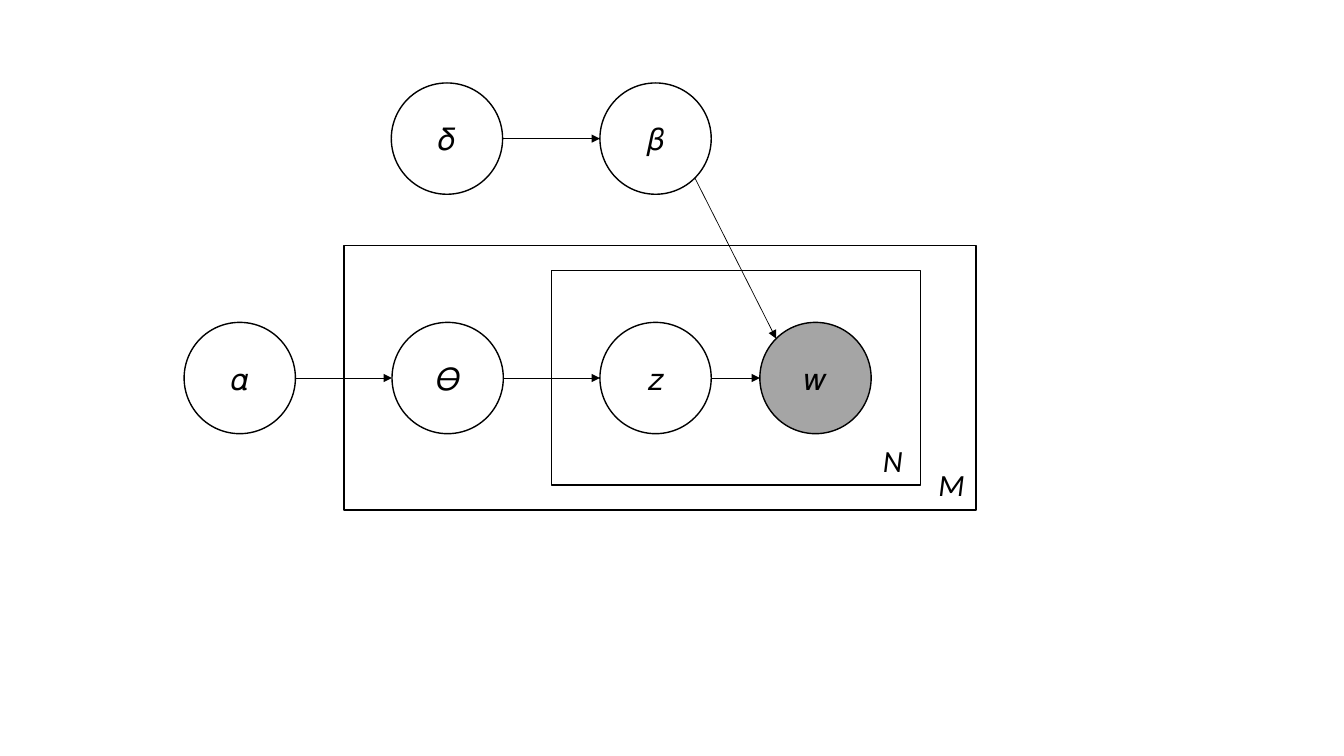
from math import cos, radians, sin

from lxml.etree import SubElement
from pptx import Presentation
from pptx.dml.color import RGBColor
from pptx.enum.shapes import MSO_CONNECTOR, MSO_SHAPE
from pptx.enum.text import MSO_ANCHOR, PP_ALIGN
from pptx.oxml.ns import qn
from pptx.util import Pt

WHITE, BLACK, GREY = "FFFFFF", "000000", "A5A5A5"


def color(hex_string):
    return RGBColor.from_string(hex_string)


class Diagram:
    """Plate diagram: the shared style and the current slide."""

    font, size = "Calibri", 22
    radius = 39.75

    def __init__(self, page):
        self.page = page

    def outline(self, kind, left, top, width, height, fill):
        shape = self.page.shapes.add_shape(
            kind, Pt(left), Pt(top), Pt(width), Pt(height))
        shape.shadow.inherit = False
        shape.fill.solid()
        shape.fill.fore_color.rgb = color(fill)
        shape.line.color.rgb = color(BLACK)
        shape.line.width = Pt(1)
        return shape

    def set_text(self, frame, text, align, italic=None):
        frame.text = text
        para = frame.paragraphs[0]
        para.alignment = align
        font = para.runs[0].font
        font.name, font.size, font.italic = self.font, Pt(self.size), italic
        font.color.rgb = color(BLACK)

    def plate(self, left, top, width, height):
        self.outline(MSO_SHAPE.RECTANGLE, left, top, width, height, WHITE)

    def node(self, symbol, center, fill=WHITE):
        x, y = center
        circle = self.outline(MSO_SHAPE.OVAL, x - self.radius, y - self.radius,
                              2 * self.radius, 2 * self.radius, fill)
        frame = circle.text_frame
        frame.vertical_anchor = MSO_ANCHOR.MIDDLE
        self.set_text(frame, symbol, PP_ALIGN.CENTER)

    def label(self, text, left, top):
        box = self.page.shapes.add_textbox(Pt(left), Pt(top), Pt(36), Pt(34))
        box.text_frame.word_wrap = True
        self.set_text(box.text_frame, text, PP_ALIGN.LEFT, italic=True)

    def arrow(self, source, target, degrees=0):
        """Leave the source rim at an angle and enter the target rim opposite."""
        dx = self.radius * cos(radians(degrees))
        dy = self.radius * sin(radians(degrees))
        line = self.page.shapes.add_connector(
            MSO_CONNECTOR.STRAIGHT,
            Pt(source[0] + dx), Pt(source[1] + dy),
            Pt(target[0] - dx), Pt(target[1] - dy))
        line.line.color.rgb = color(BLACK)
        line.line.width = Pt(0.5)
        properties = line._element.spPr
        SubElement(properties.find(qn("a:ln")), qn("a:tailEnd"), type="triangle")
        SubElement(properties, qn("a:effectLst"))


deck = Presentation()
deck.slide_width, deck.slide_height = Pt(960), Pt(540)
diagram = Diagram(deck.slides.add_slide(deck.slide_layouts[6]))

# Node centres: three equal columns, then the observed word
column = [171.25 + 148.5 * step for step in range(3)]
upper, lower = 99, 270
alpha, theta, topic = [(x, lower) for x in column]
word = (582.5, lower)
delta, beta = (column[1] - 0.5, upper), (column[2], upper)

# Plates, outer then inner
diagram.plate(245.75, 175.5, 451.5, 188.75)
diagram.plate(394, 193.25, 263.5, 153.25)

# Variables
for symbol, center in [("𝛼", alpha), ("𝛳", theta), ("𝑧", topic),
                       ("𝛿", delta), ("𝛽", beta)]:
    diagram.node(symbol, center)
diagram.node("𝑤", word, GREY)

# Dependencies
for source, target in [(alpha, theta), (theta, topic), (topic, word),
                       (delta, beta)]:
    diagram.arrow(source, target)
diagram.arrow(beta, word, degrees=45)

# Plate counts
diagram.label("N", 623.5, 311.75)
diagram.label("M", 663.25, 329)

deck.save("out.pptx")
